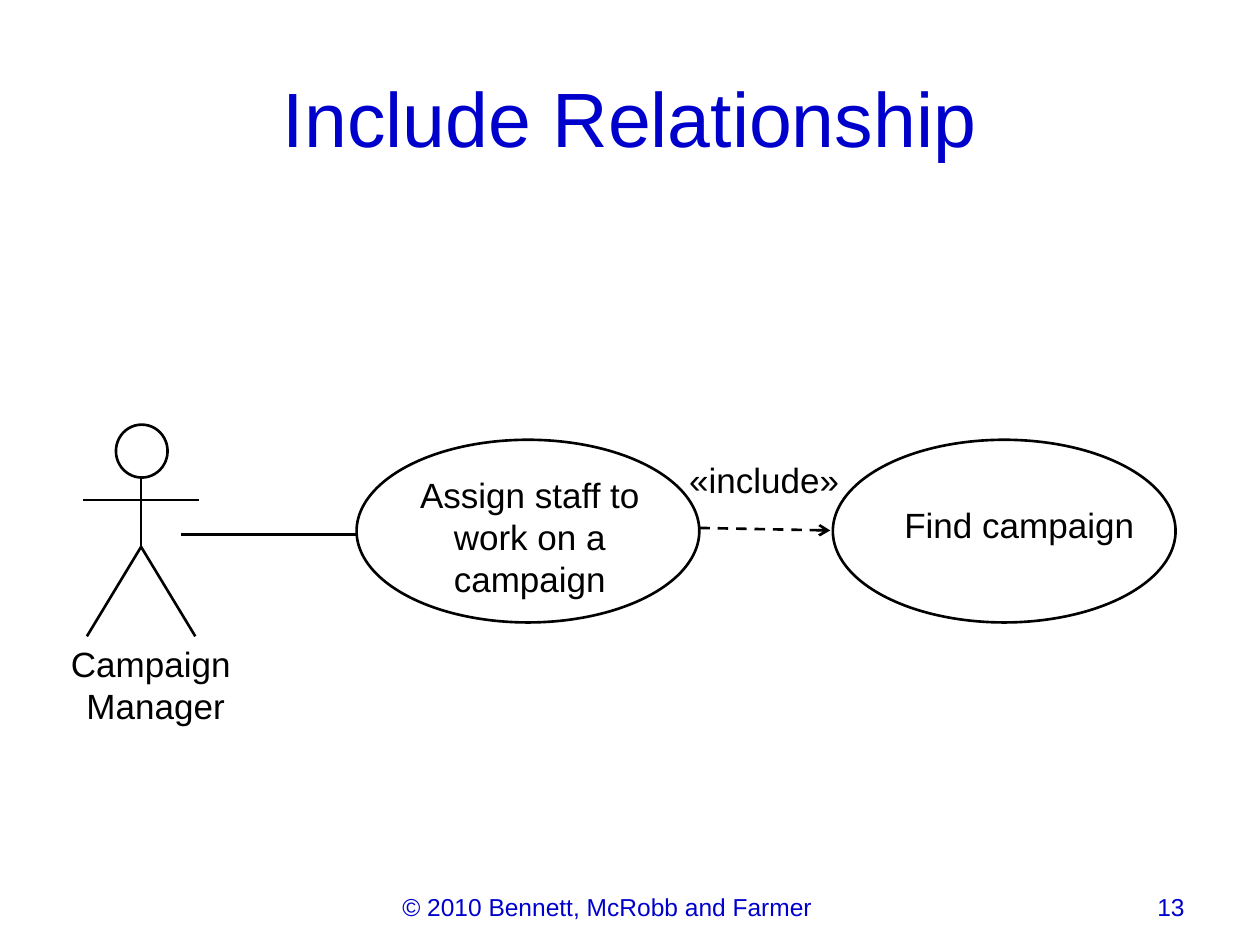
from lxml.etree import SubElement
from pptx import Presentation
from pptx.dml.color import RGBColor
from pptx.enum.dml import MSO_LINE
from pptx.enum.shapes import MSO_CONNECTOR, MSO_SHAPE
from pptx.enum.text import MSO_ANCHOR, PP_ALIGN
from pptx.oxml.ns import qn
from pptx.util import Inches, Pt

COLORS = {"ink": "000000", "blue": "0000CC", "paper": "FFFFFF"}
LEFT, MID, RIGHT = PP_ALIGN.LEFT, PP_ALIGN.CENTER, PP_ALIGN.RIGHT

TITLE = "Include Relationship"
# text, (left, top, width, height), alignment
LABELS = [
    ("Campaign \vManager", (0.54, 5.1, 1.39, 0.57), MID),
    ("«include»", (5.47, 3.64, 1.23, 0.39), LEFT),
    ("Find campaign", (7.08, 4, 2.02, 0.73), MID),
    ("Assign staff to work on a campaign", (3.13, 3.76, 2.15, 1.14), MID),
]
FOOTERS = [
    ("© 2010 Bennett, McRobb and Farmer", (2.53, 6.83, 4.58, 0.52), MID),
    ("13", (7.17, 6.83, 2.33, 0.52), RIGHT),
]
CASES = [(2.83, 3.49, 2.72, 1.45), (6.61, 3.49, 2.72, 1.45)]
LINK = ((1.44, 4.24), (2.94, 4.24))
INCLUDE = ((5.55, 4.19), (6.59, 4.21))

# Stick figure
HEAD = (0.92, 3.37, 0.41, 0.42)
NECK, HIP = (1.12, 3.78), (1.12, 4.34)
LIMBS = [
    (HIP, NECK),
    ((0.66, 3.97), (1.58, 3.97)),
    ((0.69, 5.05), HIP),
    (HIP, (1.55, 5.05)),
]


def color(name):
    return RGBColor.from_string(COLORS[name])


def style(par, size, name, align):
    par.alignment = align
    par.font.name = "Arial"
    par.font.size = Pt(size)
    par.font.color.rgb = color(name)


def pen(line):
    line.color.rgb = color("ink")
    line.width = Pt(1.5)


def add_line(shapes, start, end):
    line = shapes.add_connector(
        MSO_CONNECTOR.STRAIGHT, *map(Inches, start + end))
    pen(line.line)
    SubElement(line.line._get_or_add_ln().getparent(), qn("a:effectLst"))
    return line


def add_oval(shapes, box):
    oval = shapes.add_shape(MSO_SHAPE.OVAL, *map(Inches, box))
    oval.shadow.inherit = False
    oval.fill.solid()
    oval.fill.fore_color.rgb = color("paper")
    pen(oval.line)


def add_text(shapes, text, box, align, size=20, name="ink", inset=(0, 0)):
    """Add a wrapped label; inset is (side, top) in inches."""
    frame = shapes.add_textbox(*map(Inches, box)).text_frame
    frame.word_wrap = True
    frame.margin_left = frame.margin_right = Inches(inset[0])
    frame.margin_top, frame.margin_bottom = Inches(inset[1]), 0
    par = frame.paragraphs[0]
    par.text = text
    style(par, size, name, align)


def main():
    deck = Presentation()
    deck.slide_width, deck.slide_height = Inches(10), Inches(7.5)
    shapes = deck.slides.add_slide(deck.slide_layouts[5]).shapes

    title = shapes.title
    title.left, title.top = Inches(0.5), Inches(0.3)
    title.width, title.height = Inches(9), Inches(1.25)
    title.text_frame.text = TITLE
    title.text_frame.vertical_anchor = MSO_ANCHOR.MIDDLE
    style(title.text_frame.paragraphs[0], 44, "blue", MID)

    add_line(shapes, *LINK)
    for box in CASES:
        add_oval(shapes, box)

    actor = shapes.add_group_shape().shapes
    for start, end in LIMBS:
        add_line(actor, start, end)
    add_oval(actor, HEAD)

    arrow = add_line(shapes, *INCLUDE).line
    arrow.dash_style = MSO_LINE.DASH
    SubElement(arrow._get_or_add_ln(), qn("a:tailEnd"), type="arrow")

    for label in LABELS:
        add_text(shapes, *label)
    for footer in FOOTERS:
        add_text(shapes, *footer, size=14, name="blue", inset=(0.1, 0.27))

    deck.save("out.pptx")


if __name__ == "__main__":
    main()
